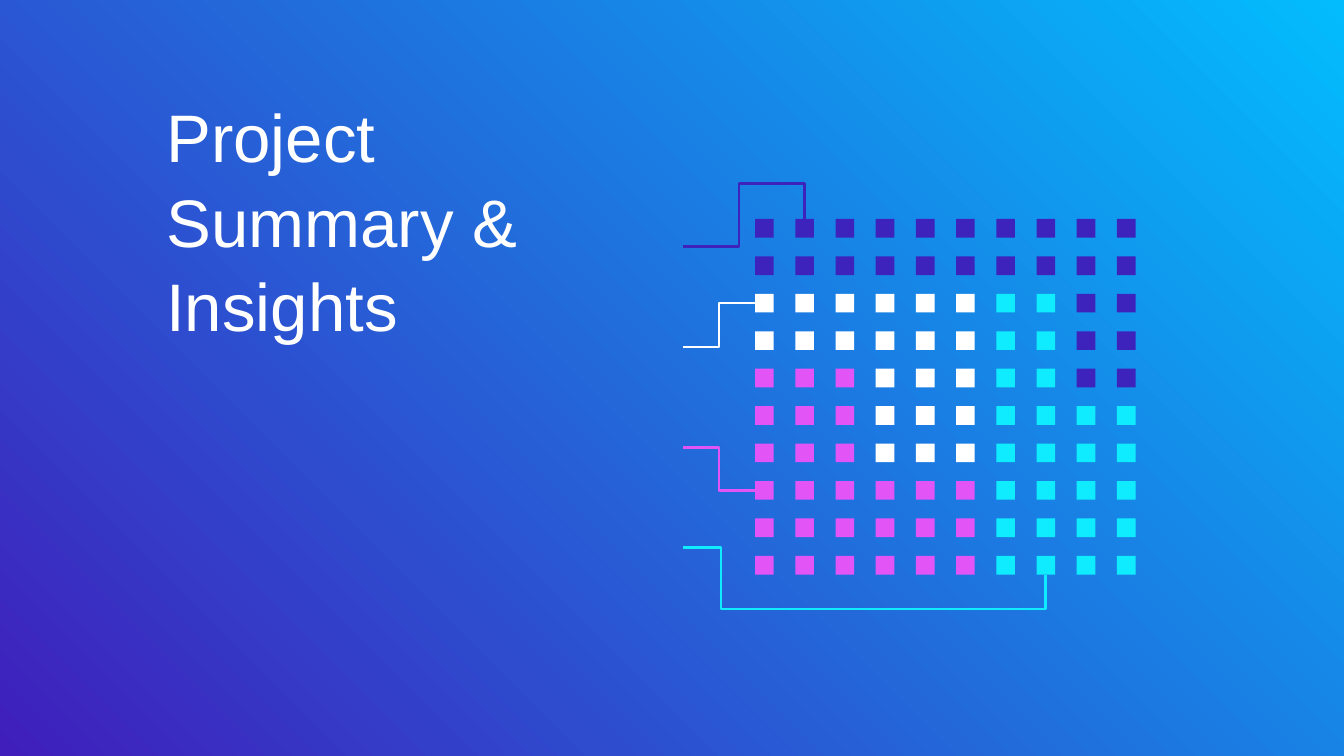
from dataclasses import dataclass

from lxml.etree import SubElement
from pptx import Presentation
from pptx.dml.color import RGBColor
from pptx.enum.shapes import MSO_CONNECTOR, MSO_SHAPE
from pptx.enum.text import MSO_ANCHOR
from pptx.oxml.ns import qn
from pptx.util import Pt


@dataclass(frozen=True)
class Theme:
    indigo: RGBColor = RGBColor.from_string("3E22BC")
    white: RGBColor = RGBColor.from_string("FFFFFF")
    pink: RGBColor = RGBColor.from_string("E354F7")
    cyan: RGBColor = RGBColor.from_string("10ECFF")
    gradient_start: RGBColor = RGBColor.from_string("401EBB")
    gradient_end: RGBColor = RGBColor.from_string("02BCFD")
    font: str = "Arial"
    title_size: int = 36


theme = Theme()

deck = Presentation()
deck.slide_width, deck.slide_height = Pt(720), Pt(405)
slide = deck.slides.add_slide(deck.slide_layouts[6])

# Background
backdrop = slide.background.fill
backdrop.gradient()
backdrop.gradient_angle = 45
for stop, color in zip(backdrop.gradient_stops, (theme.gradient_start, theme.gradient_end)):
    stop.color.rgb = color
backdrop.gradient_stops[0].position = 0
backdrop.gradient_stops[1].position = 1

# Title
title = slide.shapes.add_textbox(Pt(82), Pt(43.2), Pt(225.4), Pt(147.6)).text_frame
title.word_wrap = True
title.vertical_anchor = MSO_ANCHOR.MIDDLE
title.margin_left = title.margin_right = title.margin_top = title.margin_bottom = Pt(7.2)
heading = title.paragraphs[0]
heading.text = "Project Summary & Insights"
heading.line_spacing = 1.05
heading.font.name = theme.font
heading.font.size = Pt(theme.title_size)
heading.font.color.rgb = theme.white

# Waffle chart: one letter per cell
WAFFLE = (
    "IIIIIIIIII",
    "IIIIIIIIII",
    "WWWWWWCCII",
    "WWWWWWCCII",
    "PPPWWWCCII",
    "PPPWWWCCCC",
    "PPPWWWCCCC",
    "PPPPPPCCCC",
    "PPPPPPCCCC",
    "PPPPPPCCCC",
)
CATEGORY_COLORS = {"I": theme.indigo, "W": theme.white, "P": theme.pink, "C": theme.cyan}
LEFT, TOP, CELL = 404.5, 117.3, 10
COLUMN_STEP, ROW_STEP = 21.54, 20.06

waffle = slide.shapes.add_group_shape()
for row, letters in enumerate(WAFFLE):
    for column, letter in enumerate(letters):
        cell = waffle.shapes.add_shape(
            MSO_SHAPE.RECTANGLE,
            Pt(LEFT + column * COLUMN_STEP), Pt(TOP + row * ROW_STEP), Pt(CELL), Pt(CELL),
        )
        cell.shadow.inherit = False
        cell.fill.solid()
        cell.fill.fore_color.rgb = CATEGORY_COLORS[letter]
        cell.line.fill.background()

# Leader lines: colour, end x, end y, preset, bend positions in 1/100000 of the span
LEADER_LEFT, LEADER_TOP, LEADER_STEP = 365.8, 132.3, 53.65
HALF = CELL / 2
leaders = (
    (theme.indigo, LEFT + COLUMN_STEP + HALF, TOP, "bentConnector4", (46100, 226400)),
    (theme.white, LEFT, TOP + 2 * ROW_STEP + HALF, "bentConnector3", (50000,)),
    (theme.pink, LEFT, TOP + 7 * ROW_STEP + HALF, "bentConnector3", (50000,)),
    (theme.cyan, LEFT + 7 * COLUMN_STEP + HALF, TOP + 9 * ROW_STEP + CELL,
     "bentConnector4", (10500, 226400)),
)
for index, (color, end_x, end_y, preset, bends) in enumerate(leaders):
    leader = slide.shapes.add_connector(
        MSO_CONNECTOR.ELBOW,
        Pt(LEADER_LEFT), Pt(LEADER_TOP + index * LEADER_STEP), Pt(end_x), Pt(end_y),
    )
    leader.line.color.rgb = color
    leader.line.width = Pt(1.5)
    properties = leader._element.spPr
    SubElement(properties, qn("a:effectLst"))
    geometry = properties.find(qn("a:prstGeom"))
    geometry.set("prst", preset)
    guides = geometry.find(qn("a:avLst"))
    for number, bend in enumerate(bends, 1):
        SubElement(guides, qn("a:gd"), name=f"adj{number}", fmla=f"val {bend}")

deck.save("out.pptx")
